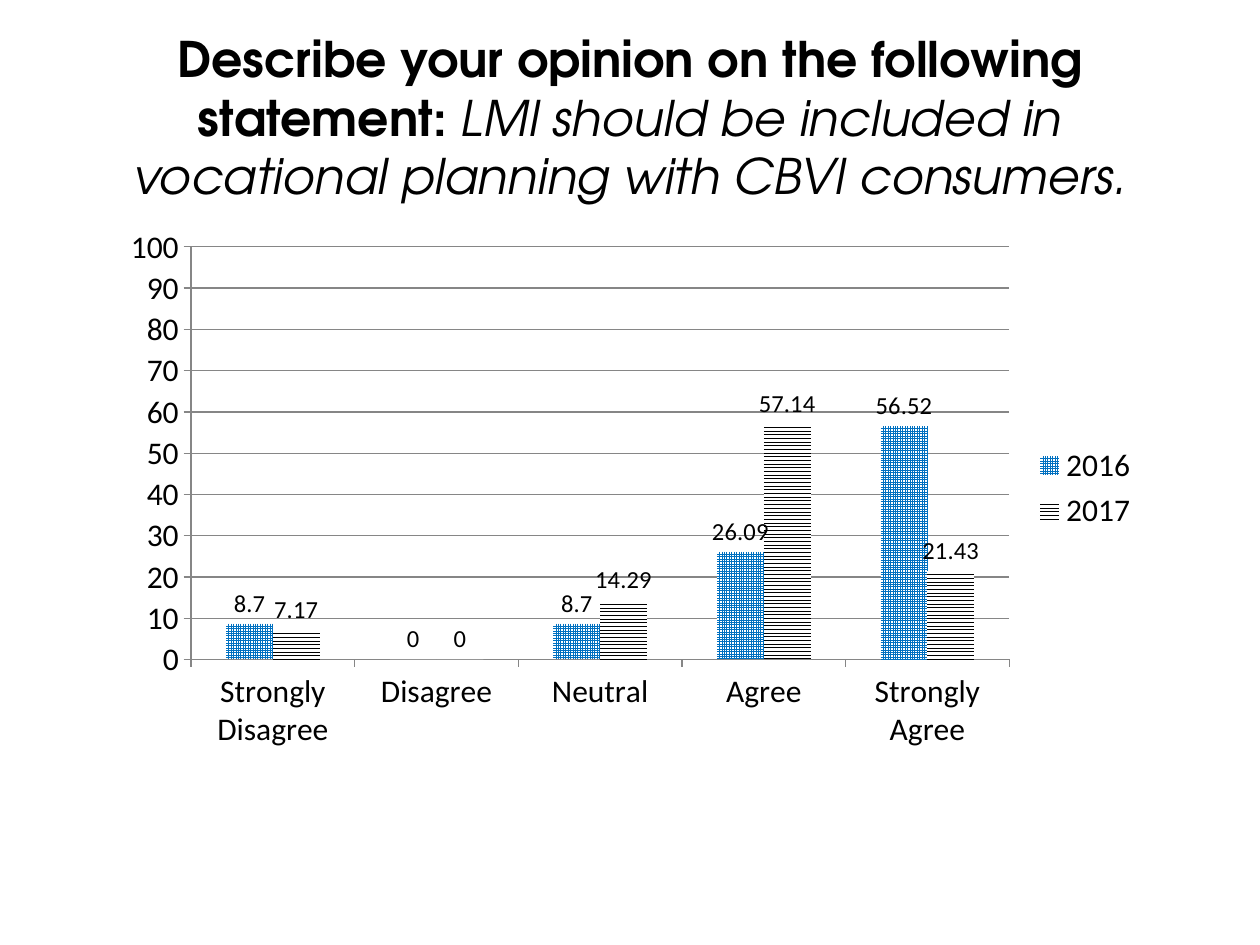
from pptx import Presentation
from pptx.chart.data import CategoryChartData
from pptx.dml.color import RGBColor
from pptx.enum.chart import XL_CHART_TYPE as ChartType, XL_LABEL_POSITION as LabelPos
from pptx.enum.chart import XL_LEGEND_POSITION as LegendPos, XL_TICK_MARK as Tick
from pptx.enum.dml import MSO_PATTERN as Pattern
from pptx.enum.text import MSO_ANCHOR as Anchor, MSO_AUTO_SIZE as AutoSize, PP_ALIGN as Align
from pptx.util import Pt

EMU_PER_PX = 914400 / 126
TITLE_ONLY = 5


def px(length):
    return round(length * EMU_PER_PX)


def color(hex_value):
    return RGBColor.from_string(hex_value)


def apply(target, values):
    for name, value in values.items():
        setattr(target, name, value)


class SlideBuilder:
    title_font = "TeX Gyre Adventor"
    chart_font = "Calibri"
    ink, paper, grid = "000000", "FFFFFF", "868686"

    def __init__(self, deck):
        self.slide = deck.slides.add_slide(deck.slide_layouts[TITLE_ONLY])

    def style_font(self, font, name, size, **extra):
        apply(font, {"name": name, "size": Pt(size), **extra})
        font.color.rgb = color(self.ink)

    def style_line(self, line):
        line.color.rgb = color(self.grid)
        line.width = Pt(0.75)

    def title(self, box, parts):
        heading = self.slide.shapes.title
        apply(heading, dict(zip(("left", "top", "width", "height"), map(px, box))))
        frame = heading.text_frame
        apply(frame, {
            "word_wrap": True, "auto_size": AutoSize.NONE,
            "vertical_anchor": Anchor.MIDDLE,
            "margin_left": px(59), "margin_right": px(59),
            "margin_top": px(29), "margin_bottom": px(29),
        })
        paragraph = frame.paragraphs[0]
        paragraph.alignment = Align.CENTER
        for text, emphasis in parts:
            run = paragraph.add_run()
            run.text = text
            self.style_font(run.font, self.title_font, 28, **emphasis)

    def column_chart(self, box, categories, years):
        data = CategoryChartData()
        data.categories = categories
        for year, values, _, _ in years:
            data.add_series(year, values)
        chart = self.slide.shapes.add_chart(
            ChartType.COLUMN_CLUSTERED, *map(px, box), data).chart
        self.style_font(chart.font, self.chart_font, 18)
        apply(chart, {"has_title": False, "has_legend": True})
        apply(chart.legend, {"position": LegendPos.RIGHT, "include_in_layout": False})

        # Axes
        apply(chart.value_axis, {"minimum_scale": 0, "maximum_scale": 100, "major_unit": 10,
                                 "has_major_gridlines": True})
        self.style_line(chart.value_axis.major_gridlines.format.line)
        for axis in (chart.category_axis, chart.value_axis):
            apply(axis, {"major_tick_mark": Tick.OUTSIDE, "minor_tick_mark": Tick.NONE})
            self.style_line(axis.format.line)

        # Patterned columns with value labels
        plot = chart.plots[0]
        apply(plot, {"gap_width": 150, "overlap": 0, "vary_by_categories": False})
        for series, (_, _, pattern, fore) in zip(plot.series, years):
            fill = series.format.fill
            fill.patterned()
            fill.pattern = pattern
            fill.fore_color.rgb = color(fore)
            fill.back_color.rgb = color(self.paper)
            series.invert_if_negative = False
            labels = series.data_labels
            apply(labels, {"show_value": True, "position": LabelPos.OUTSIDE_END})
            self.style_font(labels.font, self.chart_font, 14)


def main():
    deck = Presentation()
    apply(deck, {"slide_width": px(1260), "slide_height": px(945)})
    builder = SlideBuilder(deck)

    # Survey question
    builder.title((63, 38, 1134, 157), [
        ("Describe your opinion on the following statement: ", {"bold": True}),
        ("LMI should be included in vocational planning with CBVI consumers.",
         {"bold": False, "italic": True}),
    ])

    # Share of answers per year
    builder.column_chart(
        (110, 217, 1041, 542),
        ["Strongly Disagree", "Disagree", "Neutral", "Agree", "Strongly Agree"],
        [("2016", (8.7, 0, 8.7, 26.09, 56.52), Pattern.SMALL_GRID, "0070C0"),
         ("2017", (7.17, 0, 14.29, 57.14, 21.43), Pattern.ZIG_ZAG, "000000")])

    deck.save("out.pptx")


if __name__ == "__main__":
    main()
